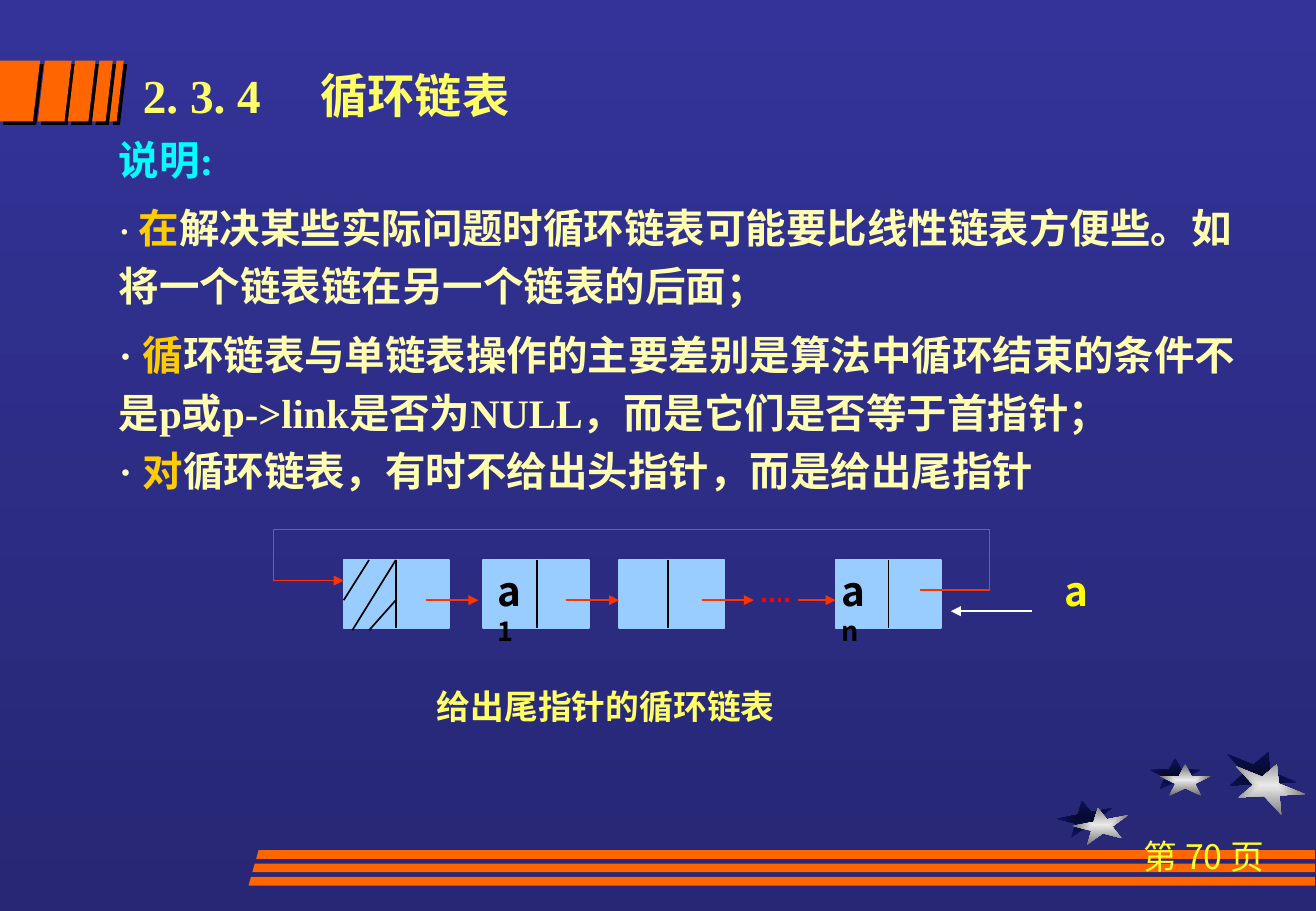
from lxml import etree
from pptx import Presentation
from pptx.dml.color import RGBColor
from pptx.enum.dml import MSO_LINE
from pptx.enum.shapes import MSO_CONNECTOR, MSO_SHAPE
from pptx.enum.text import MSO_ANCHOR, PP_ALIGN
from pptx.oxml.ns import qn
from pptx.util import Cm, Pt

STRAIGHT = MSO_CONNECTOR.STRAIGHT
RECTANGLE = MSO_SHAPE.RECTANGLE
ROUND_DOT = MSO_LINE.ROUND_DOT
MIDDLE, TOP = MSO_ANCHOR.MIDDLE, MSO_ANCHOR.TOP
LEFT, CENTER = PP_ALIGN.LEFT, PP_ALIGN.CENTER

SANS, SERIF = "Noto Sans CJK SC", "Times New Roman"
ORANGE, RED, BLACK = "FF6600", "FF3300", "000000"
PALE, GOLD, LEMON = "FFFFAF", "FFCC00", "FFFF66"
NODE_TOP, NODE_WIDTH, NODE_HEIGHT = 11.71, 2.21, 1.42
NODE_BOTTOM = NODE_TOP + NODE_HEIGHT
LINK_Y = 12.55

# Outline of a five-pointed star in a unit square
STAR = [(0, .38), (.38, .38), (.5, 0), (.62, .38), (1, .38),
        (.69, .62), (.81, 1), (.5, .76), (.19, 1), (.31, .62)]


def rgb(hex_colour):
    return RGBColor.from_string(hex_colour)


def add_outline(slide, points):
    corners = [(Cm(x), Cm(y)) for x, y in points]
    builder = slide.shapes.build_freeform(*corners[0])
    builder.add_line_segments(corners[1:], close=True)
    outline = builder.convert_to_shape()
    outline.shadow.inherit = False
    outline.line.fill.background()
    return outline


def add_slanted_bar(slide, points, shadow=False):
    bar = add_outline(slide, points)
    bar.fill.solid()
    bar.fill.fore_color.rgb = rgb(ORANGE)
    if shadow:
        effects = bar._element.spPr.find(qn("a:effectLst"))
        drop = etree.SubElement(effects, qn("a:outerShdw"), dist=str(Pt(2.8)),
                                dir="2700000", algn="ctr", rotWithShape="0")
        etree.SubElement(drop, qn("a:srgbClr"), val=BLACK)


def add_star(slide, left, top, width, height, angle, inner, outer):
    star = add_outline(slide, [(left + x * width, top + y * height) for x, y in STAR])
    star.rotation = angle
    star.fill.gradient()
    gradient = star._element.spPr.find(qn("a:gradFill"))
    for stop, colour in zip(star.fill.gradient_stops, (inner, outer)):
        stop.color.rgb = rgb(colour)
    gradient.remove(gradient.find(qn("a:lin")))
    centre = etree.SubElement(gradient, qn("a:path"), path="rect")
    etree.SubElement(centre, qn("a:fillToRect"), l="50000", t="50000", r="50000", b="50000")


def add_line(slide, start, end, colour=BLACK, arrow=False, width=1, dash=None):
    x1, y1, x2, y2 = (Cm(v) for v in (*start, *end))
    line = slide.shapes.add_connector(STRAIGHT, x1, y1, x2, y2)
    line.line.color.rgb = rgb(colour)
    line.line.width = Pt(width)
    if dash:
        line.line.dash_style = dash
    properties = line._element.spPr
    if arrow:
        etree.SubElement(properties.find(qn("a:ln")), qn("a:tailEnd"), type="triangle")
    etree.SubElement(properties, qn("a:effectLst"))


def add_text_box(slide, left, top, width, height, anchor=TOP):
    frame = slide.shapes.add_textbox(Cm(left), Cm(top), Cm(width), Cm(height)).text_frame
    frame.word_wrap = True
    frame.vertical_anchor = anchor
    return frame


def add_run(paragraph, text, size, colour, font=SANS, bold=True):
    run = paragraph.add_run()
    run.text = text
    run.font.size = Pt(size)
    run.font.bold = bold
    run.font.name = font
    run.font.color.rgb = rgb(colour)
    etree.SubElement(run._r.get_or_add_rPr(), qn("a:ea"), typeface=SANS)


def add_label(slide, box, runs, align=LEFT, bold=True):
    paragraph = add_text_box(slide, *box).paragraphs[0]
    paragraph.alignment = align
    for text, size, colour in runs:
        add_run(paragraph, text, size, colour, bold=bold)


def add_node(slide, left, divider):
    node = slide.shapes.add_shape(RECTANGLE, Cm(left), Cm(NODE_TOP),
                                  Cm(NODE_WIDTH), Cm(NODE_HEIGHT))
    node.shadow.inherit = False
    node.fill.solid()
    node.fill.fore_color.rgb = rgb("99CCFF")
    node.line.color.rgb = rgb("99CCFF")
    node.line.width = Pt(1)
    add_line(slide, (divider, NODE_TOP), (divider, NODE_BOTTOM))


def add_decoration(slide):
    # Background
    background = slide.background.fill
    background.gradient()
    background.gradient_angle = 270
    for stop, colour in zip(background.gradient_stops, ("333399", "272775")):
        stop.color.rgb = rgb(colour)

    # Stars: each silver one lies over a dark one
    stars = [((22.12, 16.74), (22.45, 16.89), (1.17, .71, 349)),
             ((24.05, 15.85), (24.26, 15.98), (1.07, .66, 0)),
             ((25.58, 15.7), (25.76, 15.95), (1.55, .94, 22))]
    for dark, _, form in stars:
        add_star(slide, *dark, *form, "060A2F", "0D1565")
    for _, silver, form in stars:
        add_star(slide, *silver, *form, "EAEAEA", "6C6C6C")

    # Bars beside the title
    top, bottom, slant = 1.27, 2.54, .15
    add_slanted_bar(slide, [(0, top), (.84, top), (.69, bottom), (0, bottom)], True)
    for left, width in [(.79, .56), (1.42, .43), (1.93, .28), (2.29, .15)]:
        add_slanted_bar(slide, [(left + slant, top), (left + slant + width, top),
                                (left + width, bottom), (left, bottom)], True)

    # Footer stripes
    for row in reversed(range(3)):
        left, top, right = 5.36 - .08 * row, 17.78 + .28 * row, 27.51
        add_slanted_bar(slide, [(left + .05, top), (right, top),
                                (right, top + .18), (left, top + .18)])
    add_label(slide, (22.86, 17.35, 4.65, 2.13), [("第 70 页", 20, "FFFF25")], CENTER, False)


def add_title(slide):
    title = add_text_box(slide, 2.74, 1.24, 13.21, 1.47, MIDDLE).paragraphs[0]
    tabs = etree.SubElement(title._p.get_or_add_pPr(), qn("a:tabLst"))
    etree.SubElement(tabs, qn("a:tab"), pos=str(Cm(3.72)), algn="l")
    add_run(title, "2. 3. 4\t循环链表", 28, LEMON, SERIF)


def add_explanation(slide):
    notes = [
        [[("说明:", 24, "00FFFF")]],
        [[("· ", 20, PALE), ("在", 24, GOLD),
          ("解决某些实际问题时循环链表可能要比线性链表方便些。如将一个链表链在另一个链表的后面；", 24, PALE)]],
        [[("· ", 24, PALE), ("循", 24, GOLD),
          ("环链表与单链表操作的主要差别是算法中循环结束的条件不是p或p->link是否为NULL，"
           "而是它们是否等于首指针；", 24, PALE)],
         [("· ", 24, PALE), ("对", 24, GOLD),
          ("循环链表，有时不给出头指针，而是给出尾指针", 24, PALE)]],
    ]
    frame = add_text_box(slide, 2.24, 2.49, 24.13, 8)
    for index, lines in enumerate(notes):
        paragraph = frame.add_paragraph() if index else frame.paragraphs[0]
        paragraph.line_spacing = 1.2
        if index:
            paragraph.space_before = Pt(6)
        for number, runs in enumerate(lines):
            if number:
                paragraph.add_line_break()
            for text, size, colour in runs:
                add_run(paragraph, text, size, colour, SERIF)


def add_linked_list(slide):
    # Nodes, with the head node hatched
    for left, divider in [(7.19, 8.28), (10.11, 11.23), (12.95, 13.97), (17.48, 18.59)]:
        add_node(slide, left, divider)
    for start, end in [((7.72, NODE_TOP), (7.19, LINK_Y)), ((8.28, NODE_TOP), (7.37, 13.18)),
                       ((8.28, LINK_Y), (7.72, 13.18))]:
        add_line(slide, start, end)

    # Links between the nodes
    for start, end in [(8.92, 10.01), (11.84, 12.95), (14.68, 15.77), (16.69, 17.48)]:
        add_line(slide, (start, LINK_Y), (end, LINK_Y), RED, arrow=True)
    add_line(slide, (15.95, LINK_Y), (16.56, LINK_Y), "FF0000", width=2.25, dash=ROUND_DOT)

    # Loop from the last node back to the head
    loop = [(19.25, 12.34), (20.7, 12.34), (20.7, 11.07), (5.72, 11.07),
            (5.72, 12.14), (7.19, 12.14)]
    for start, end in zip(loop, loop[1:]):
        add_line(slide, start, end, RED, arrow=end == loop[-1])

    # Tail pointer, node values and caption
    add_line(slide, (21.59, 12.78), (19.89, 12.78), "FFFFFF", arrow=True)
    add_label(slide, (22.02, NODE_TOP, 1.09, 1.27), [("a", 24, "FFFF00")])
    for left, subscript in [(10.16, "1"), (17.35, "n")]:
        add_label(slide, (left, NODE_TOP, 1.27, 1.96),
                  [("a", 24, BLACK), (subscript, 16, BLACK)])
    add_label(slide, (8.89, 14.22, 13.13, 1.12), [("给出尾指针的循环链表", 20, LEMON)])


def main():
    deck = Presentation()
    deck.slide_width, deck.slide_height = Cm(27.53), Cm(19.05)
    slide = deck.slides.add_slide(deck.slide_layouts[6])
    add_decoration(slide)
    add_title(slide)
    add_explanation(slide)
    add_linked_list(slide)
    deck.save("out.pptx")


if __name__ == "__main__":
    main()
